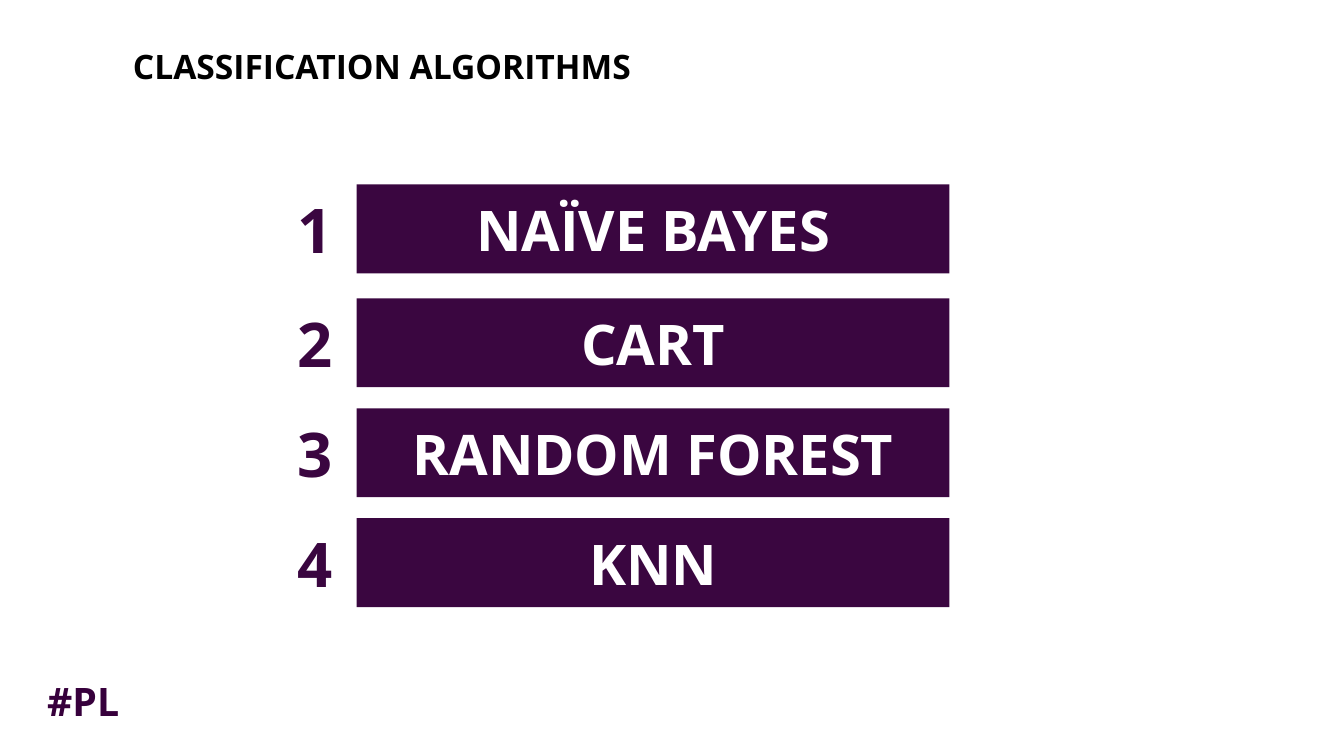
from dataclasses import dataclass

from pptx import Presentation
from pptx.dml.color import RGBColor
from pptx.enum.shapes import MSO_SHAPE
from pptx.enum.text import MSO_ANCHOR, MSO_AUTO_SIZE, PP_ALIGN
from pptx.util import Cm, Pt


@dataclass(frozen=True)
class Theme:
    font: str = "Open Sans"
    black: RGBColor = RGBColor(0x00, 0x00, 0x00)
    white: RGBColor = RGBColor(0xFF, 0xFF, 0xFF)
    plum: RGBColor = RGBColor(0x3A, 0x06, 0x40)
    tag_plum: RGBColor = RGBColor(0x37, 0x00, 0x3C)
    title_size: Pt = Pt(24)
    tag_size: Pt = Pt(28)
    number_size: Pt = Pt(44)
    bar_size: Pt = Pt(40)


THEME = Theme()
ALGORITHMS = ["NAÏVE BAYES", "CART", "RANDOM FOREST", "KNN"]
ROW_TOPS = [4.65, 7.52, 10.29, 13.06]
ROW_HEIGHT = 2.24
NUMBER_WIDTH = 2.12


def write(shape, text, size, color, align, anchor):
    """Put one bold line of text into a shape."""
    frame = shape.text_frame
    frame.text = text
    frame.word_wrap = True
    frame.auto_size = MSO_AUTO_SIZE.NONE
    frame.vertical_anchor = anchor
    para = frame.paragraphs[0]
    para.alignment = align
    font = para.runs[0].font
    font.name, font.size, font.bold = THEME.font, size, True
    font.color.rgb = color


def place_title(page, left, top, width, height):
    title = page.shapes.title
    title.left, title.top = Cm(left), Cm(top)
    title.width, title.height = Cm(width), Cm(height)
    write(title, "CLASSIFICATION ALGORITHMS", THEME.title_size, THEME.black,
          PP_ALIGN.CENTER, MSO_ANCHOR.TOP)


def add_tag(page, left, top, width, height):
    box = page.shapes.add_textbox(Cm(left), Cm(top), Cm(width), Cm(height))
    write(box, "#PL", THEME.tag_size, THEME.tag_plum,
          PP_ALIGN.LEFT, MSO_ANCHOR.TOP)


def add_algorithm_row(page, number, name, left, top, width, height):
    """Group a number cell with the bar to its right."""
    row = page.shapes.add_group_shape()
    cells = [
        (str(number), left, NUMBER_WIDTH,
         THEME.white, THEME.plum, THEME.number_size),
        (name, left + NUMBER_WIDTH, width - NUMBER_WIDTH,
         THEME.plum, THEME.white, THEME.bar_size),
    ]
    for text, cell_left, cell_width, fill, color, size in cells:
        cell = row.shapes.add_shape(MSO_SHAPE.RECTANGLE, Cm(cell_left), Cm(top),
                                    Cm(cell_width), Cm(height))
        cell.shadow.inherit = False
        cell.fill.solid()
        cell.fill.fore_color.rgb = fill
        cell.line.fill.background()
        write(cell, text, size, color, PP_ALIGN.CENTER, MSO_ANCHOR.MIDDLE)


def build_algorithm_slide(deck):
    page = deck.slides.add_slide(deck.slide_layouts.get_by_name("Title Only"))
    page.background.fill.solid()
    page.background.fill.fore_color.rgb = THEME.white

    # Heading and corner tag
    place_title(page, 2.59, 1.02, 14.07, 1.27)
    add_tag(page, 0.94, 16.94, 2.79, 1.45)

    # Numbered list of algorithms
    for number, (name, top) in enumerate(zip(ALGORITHMS, ROW_TOPS), start=1):
        add_algorithm_row(page, number, name, 6.87, top, 17.06, ROW_HEIGHT)


def main():
    deck = Presentation()
    deck.slide_width, deck.slide_height = Cm(33.87), Cm(19.05)
    build_algorithm_slide(deck)
    deck.save("out.pptx")


if __name__ == "__main__":
    main()
